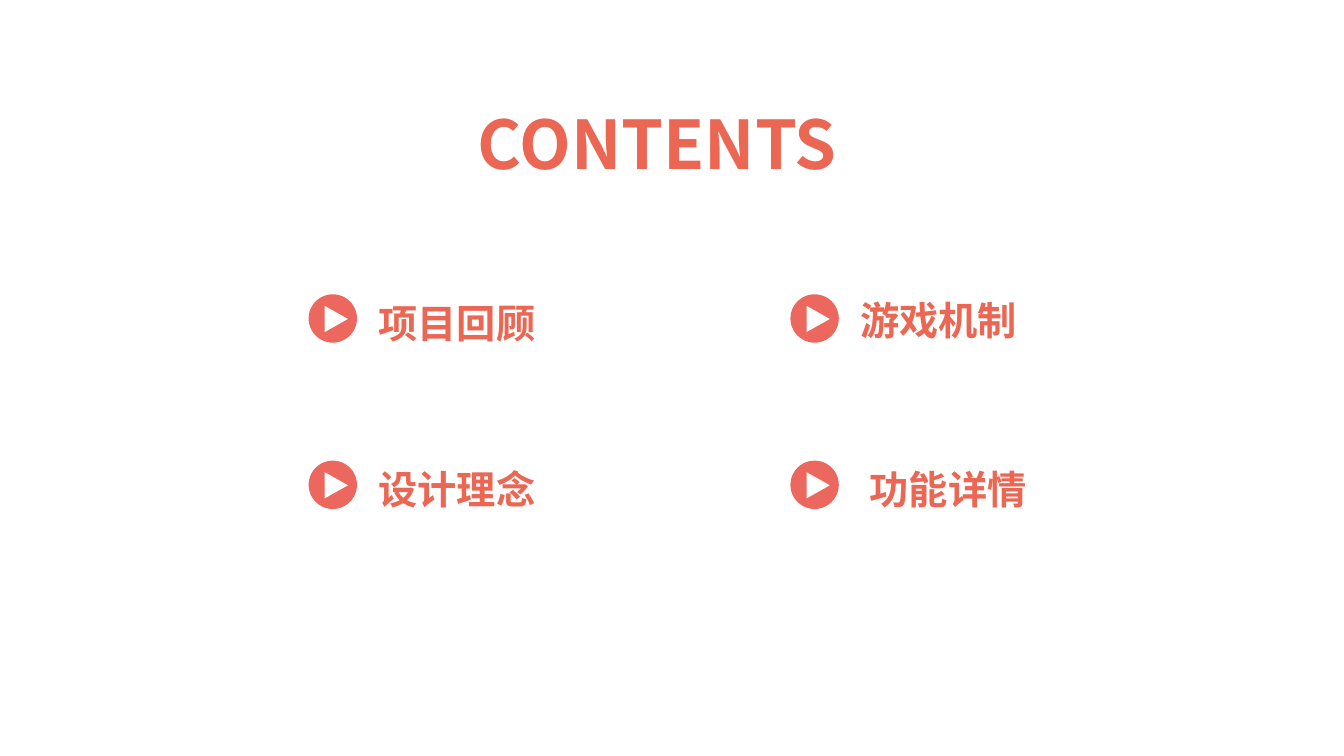
from dataclasses import dataclass

from lxml import etree
from pptx import Presentation
from pptx.dml.color import RGBColor
from pptx.enum.shapes import MSO_SHAPE
from pptx.enum.text import MSO_ANCHOR, MSO_AUTO_SIZE, PP_ALIGN
from pptx.oxml.ns import qn
from pptx.util import Inches, Pt

OVAL = MSO_SHAPE.OVAL
TRIANGLE = MSO_SHAPE.ISOSCELES_TRIANGLE
TOP = MSO_ANCHOR.TOP
GROW = MSO_AUTO_SIZE.SHAPE_TO_FIT_TEXT
LEFT = PP_ALIGN.LEFT
RIGHT = PP_ALIGN.RIGHT

WIDTH, HEIGHT = Inches(13.33), Inches(7.5)
TITLE_ONLY = 5
CORAL, ROSE, WHITE = "EC6753", "EC675D", "FFFFFF"
TITLE_FONT, LABEL_FONT = "Noto Sans CJK JP", "Noto Sans CJK SC"
COLUMNS = (22.96, 58.81)
ROWS = (38.93, 60.93)


@dataclass(frozen=True)
class Area:
    left: float
    top: float
    width: float
    height: float

    def lengths(self) -> tuple[int, int, int, int]:
        return (
            round(WIDTH * self.left / 100),
            round(HEIGHT * self.top / 100),
            round(WIDTH * self.width / 100),
            round(HEIGHT * self.height / 100),
        )


@dataclass(frozen=True)
class Entry:
    text: str
    column: int
    row: int
    label_shift: float = 4.4
    label_rise: float = 0


ENTRIES = (
    Entry("项目回顾", 0, 0),
    Entry("设计理念", 0, 1),
    Entry("游戏机制", 1, 0, label_rise=0.4),
    Entry("功能详情", 1, 1, label_shift=5.1),
)


def color(value: str) -> RGBColor:
    return RGBColor.from_string(value)


def write(box, text: str, size: int, font: str, alignment, wrap: bool) -> None:
    frame = box.text_frame
    frame.word_wrap = wrap
    frame.auto_size = GROW
    frame.vertical_anchor = TOP
    para = frame.paragraphs[0]
    para.alignment = alignment
    para.line_spacing = 1.0
    para.space_before = Pt(0)
    span = para.add_run()
    span.text = text
    span.font.size = Pt(size)
    span.font.bold = True
    span.font.name = font
    span.font.color.rgb = color(CORAL)
    east_asian = etree.SubElement(span.font._element, qn("a:ea"))
    east_asian.set("typeface", font)


def add_figure(page, kind, area: Area, fill: str, rotation: float = 0) -> None:
    figure = page.shapes.add_shape(kind, *area.lengths())
    figure.shadow.inherit = False
    figure.fill.solid()
    figure.fill.fore_color.rgb = color(fill)
    figure.line.fill.background()
    figure.rotation = rotation


def add_title(page) -> None:
    title = page.shapes.title
    area = Area(34.81, 12.93, 30.46, 12.13)
    title.left, title.top, title.width, title.height = area.lengths()
    write(title, "CONTENTS", 48, TITLE_FONT, LEFT, True)


def add_entry(page, entry: Entry) -> None:
    left, top = COLUMNS[entry.column], ROWS[entry.row]
    add_figure(page, OVAL, Area(left, top, 3.6, 6.4), ROSE)
    add_figure(page, TRIANGLE, Area(left + 1.09, top + 1.73, 1.95, 3.07), WHITE, 90)
    area = Area(left + entry.label_shift, top - entry.label_rise, 13.2, 7.6)
    label = page.shapes.add_textbox(*area.lengths())
    write(label, entry.text, 28, LABEL_FONT, RIGHT, False)


def main() -> None:
    deck = Presentation()
    deck.slide_width, deck.slide_height = WIDTH, HEIGHT
    page = deck.slides.add_slide(deck.slide_layouts[TITLE_ONLY])
    page.background.fill.solid()
    page.background.fill.fore_color.rgb = color(WHITE)
    add_title(page)
    for entry in ENTRIES:
        add_entry(page, entry)
    deck.save("out.pptx")


if __name__ == "__main__":
    main()
